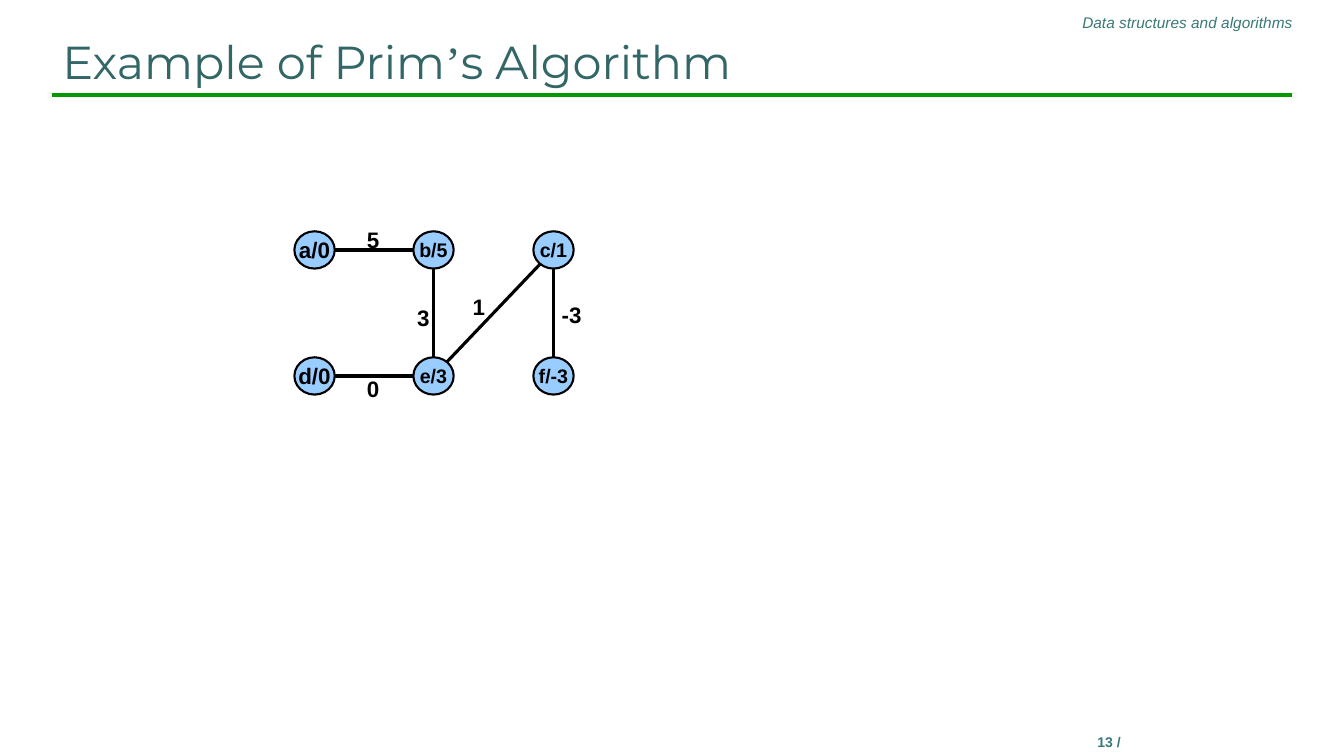
"""Draw the spanning tree found by Prim's algorithm."""
from math import hypot
from typing import NamedTuple

from lxml import etree
from pptx import Presentation
from pptx.dml.color import RGBColor
from pptx.enum.shapes import MSO_CONNECTOR, MSO_SHAPE
from pptx.enum.text import MSO_ANCHOR, PP_ALIGN
from pptx.oxml.ns import qn
from pptx.util import Inches, Pt

LINE = MSO_CONNECTOR.STRAIGHT
OVAL = MSO_SHAPE.OVAL
LEFT, MID, RIGHT = PP_ALIGN.LEFT, PP_ALIGN.CENTER, PP_ALIGN.RIGHT
TOP, CENTER, BOTTOM = MSO_ANCHOR.TOP, MSO_ANCHOR.MIDDLE, MSO_ANCHOR.BOTTOM
BLACK, BLUE, GREEN = "000000", "99CCFF", "009900"
TEAL, PINE = "3A7877", "336666"
COLS, ROWS = (3.12, 4.3, 5.49), (2.48, 3.73)
WIDE, HIGH = 0.4, 0.37
GAP_X, GAP_Y = 0.2, 0.19


class Node(NamedTuple):
    name: str
    cost: int
    col: int
    row: int
    size: int = 14


class Edge(NamedTuple):
    start: str
    end: str
    cost: int
    x: float
    y: float


NODES = [
    Node("a", 0, 0, 0, 16), Node("b", 5, 1, 0), Node("c", 1, 2, 0),
    Node("d", 0, 0, 1, 16), Node("e", 3, 1, 1), Node("f", -3, 2, 1),
]
EDGES = [
    Edge("a", "b", 5, 3.7, 2.38), Edge("b", "e", 3, 4.2, 3.15),
    Edge("e", "c", 1, 4.75, 3.04), Edge("c", "f", -3, 5.67, 3.12),
    Edge("d", "e", 0, 3.7, 3.86),
]


def paint(color, code: str) -> None:
    """Set a colour from a hex string."""
    color.rgb = RGBColor.from_string(code)


def write(shape, *parts: tuple[str, str], size: float = 16, color: str = BLACK,
          bold: bool = False, italic: bool = False, align=MID, anchor=TOP,
          wrap: bool = False) -> None:
    """Fill a shape with one paragraph of (text, font) parts."""
    frame = shape.text_frame
    frame.word_wrap = wrap
    frame.vertical_anchor = anchor
    para = frame.paragraphs[0]
    para.alignment = align
    for text, face in parts:
        run = para.add_run()
        run.text = text
        font = run.font
        font.name, font.size = face, Pt(size)
        font.bold, font.italic = bold, italic
        paint(font.color, color)


def box(slide, x: float, y: float, w: float, h: float):
    """Add an empty text box."""
    return slide.shapes.add_textbox(Inches(x), Inches(y), Inches(w), Inches(h))


def rule(slide, x1: float, y1: float, x2: float, y2: float,
         color: str = BLACK, width: float = 2.25) -> None:
    """Draw a straight line without a shadow."""
    line = slide.shapes.add_connector(
        LINE, Inches(x1), Inches(y1), Inches(x2), Inches(y2))
    paint(line.line.color, color)
    line.line.width = Pt(width)
    etree.SubElement(line._element.spPr, qn("a:effectLst"))


def draw_node(slide, node: Node) -> None:
    """Draw a vertex with its name and cost."""
    x, y = COLS[node.col] - WIDE / 2, ROWS[node.row] - HIGH / 2
    oval = slide.shapes.add_shape(
        OVAL, Inches(x), Inches(y), Inches(WIDE), Inches(HIGH))
    oval.shadow.inherit = False
    oval.fill.solid()
    paint(oval.fill.fore_color, BLUE)
    paint(oval.line.color, BLACK)
    oval.line.width = Pt(1.5)
    write(oval, (f"{node.name}/{node.cost}", "Arial"), size=node.size,
          bold=True, anchor=CENTER)


def draw_edge(slide, edge: Edge, spots: dict[str, tuple[float, float]]) -> None:
    """Draw an edge from rim to rim with its cost."""
    (x1, y1), (x2, y2) = spots[edge.start], spots[edge.end]
    dx, dy = x2 - x1, y2 - y1
    part = 1 / hypot(dx / GAP_X, dy / GAP_Y)
    rule(slide, x1 + dx * part, y1 + dy * part, x2 - dx * part, y2 - dy * part)
    label = box(slide, edge.x - WIDE / 2, edge.y - HIGH / 2, WIDE, HIGH)
    write(label, (str(edge.cost), "Arial"), bold=True)


def main() -> None:
    """Build and save the slide."""
    deck = Presentation()
    deck.slide_width, deck.slide_height = Inches(13.33), Inches(7.5)
    slide = deck.slides.add_slide(deck.slide_layouts[6])

    rule(slide, 0.52, 0.94, 12.81, 0.94, GREEN, 3)
    write(box(slide, 5.63, 0.08, 7.29, 0.29),
          ("Data structures and algorithms", "Arial"),
          size=11, color=TEAL, italic=True, align=RIGHT, wrap=True)
    write(box(slide, 9.5, 7.23, 3, 0.5), ("13 /", "Arial"),
          size=10, color=TEAL, bold=True, wrap=True)
    write(box(slide, 0.52, 0.23, 12.29, 0.7),
          ("Example of Prim", "Montserrat"), ("’", "Times New Roman"),
          ("s Algorithm", "Montserrat"),
          size=33, color=PINE, align=LEFT, anchor=BOTTOM, wrap=True)

    spots = {node.name: (COLS[node.col], ROWS[node.row]) for node in NODES}
    for node in NODES:
        draw_node(slide, node)
    for edge in EDGES:
        draw_edge(slide, edge, spots)
    deck.save("out.pptx")


if __name__ == "__main__":
    main()
